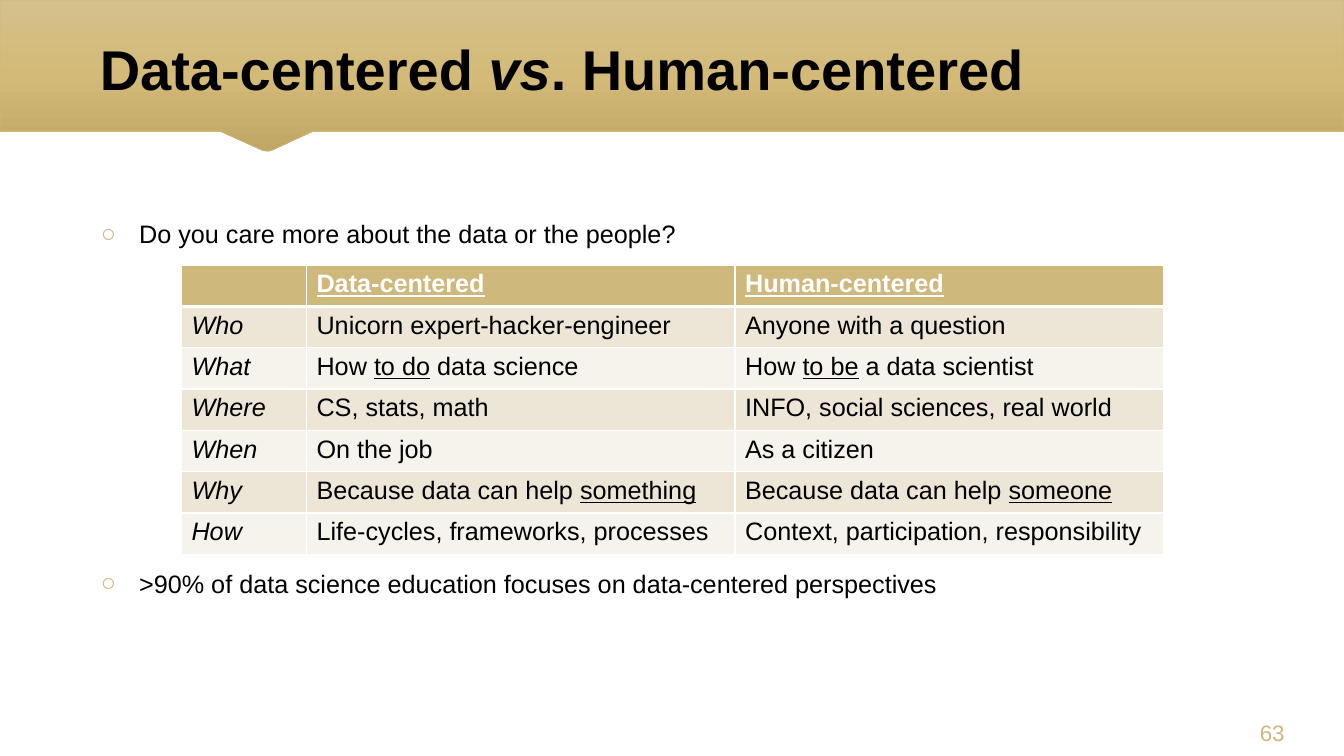
from copy import deepcopy

from lxml.etree import SubElement
from pptx import Presentation
from pptx.dml.color import RGBColor
from pptx.enum.text import MSO_ANCHOR, MSO_AUTO_SIZE, PP_ALIGN
from pptx.oxml.ns import qn
from pptx.util import Inches, Pt

COLORS = {
    "gold": "CFB87C", "gold_top": "D5C08C", "gold_mid": "D3BA78",
    "gold_low": "C1A766", "band_dark": "EDE6D7", "band_light": "F6F3EC",
    "black": "000000", "white": "FFFFFF",
}

BANNER = [(13.33, 0), (0, 0), (0, 1.3), (2.18, 1.3), (2.6, 1.49), (2.64, 1.5),
          (2.67, 1.5), (2.7, 1.49), (3.11, 1.3), (13.33, 1.3)]

# Text between bars is emphasised
ROWS = [
    ("", "Data-centered", "Human-centered"),
    ("Who", "Unicorn expert-hacker-engineer", "Anyone with a question"),
    ("What", "How |to do| data science", "How |to be| a data scientist"),
    ("Where", "CS, stats, math", "INFO, social sciences, real world"),
    ("When", "On the job", "As a citizen"),
    ("Why", "Because data can help |something|", "Because data can help |someone|"),
    ("How", "Life-cycles, frameworks, processes", "Context, participation, responsibility"),
]


def rgb(name):
    return RGBColor.from_string(COLORS[name])


def write(p, text, size=18, color="black", emphasis="underline", **fmt):
    """Add text to a paragraph; parts between bars get the emphasis."""
    for i, part in enumerate(text.split("|")):
        if not part:
            continue
        r = p.add_run()
        r.text = part
        r.font.name, r.font.size = "Arial", Pt(size)
        r.font.color.rgb = rgb(color)
        styles = {"bold": False, "italic": False, "underline": False, **fmt}
        if i % 2:
            styles[emphasis] = True
        for key, value in styles.items():
            setattr(r.font, key, value)


class SlideBuilder:
    def __init__(self, prs):
        self.s = prs.slides.add_slide(prs.slide_layouts[1])

    def place(self, sp, box, anchor):
        sp.left, sp.top, sp.width, sp.height = map(Inches, box)
        tf = sp.text_frame
        tf.word_wrap = True
        tf.auto_size = MSO_AUTO_SIZE.NONE
        tf.vertical_anchor = anchor
        return tf

    def banner(self, points):
        corners = [(Inches(x), Inches(y)) for x, y in points]
        fb = self.s.shapes.build_freeform(*corners[0])
        fb.add_line_segments(corners[1:], close=True)
        sp = fb.convert_to_shape()
        sp.shadow.inherit = False
        sp.fill.gradient()
        sp.fill.gradient_angle = 270
        gs = sp._element.spPr.find(".//" + qn("a:gs"))
        gs.addnext(deepcopy(gs))
        names = ("gold_top", "gold_mid", "gold_low")
        for i, (stop, name) in enumerate(zip(sp.fill.gradient_stops, names)):
            stop.color.rgb = rgb(name)
            stop.position = i / 2
        sp.line.color.rgb = rgb("gold")
        sp.line.width = Pt(0.5)
        self.s.shapes._spTree.insert(2, sp._element)  # behind the title

    def title(self, text, box):
        tf = self.place(self.s.shapes.title, box, MSO_ANCHOR.BOTTOM)
        p = tf.paragraphs[0]
        p.alignment = PP_ALIGN.LEFT
        write(p, text, size=40, bold=True, emphasis="italic")

    def bullets(self, items, box, gap):
        tf = self.place(self.s.placeholders[1], box, MSO_ANCHOR.MIDDLE)
        for i, text in enumerate(items):
            p = tf.add_paragraph() if i else tf.paragraphs[0]
            pPr = p._p.get_or_add_pPr()
            pPr.set("marL", str(Inches(0.38)))
            pPr.set("indent", str(-Inches(0.38)))
            clr = SubElement(pPr, qn("a:buClr"))
            SubElement(clr, qn("a:srgbClr"), val=COLORS["gold"])
            SubElement(pPr, qn("a:buFont"), typeface="Arial")
            SubElement(pPr, qn("a:buChar"), char="○")
            p.space_before = Pt(gap if i else 0)
            p.space_after = Pt(6)
            write(p, text)

    def number(self, text, box):
        sp = self.s.shapes.add_textbox(0, 0, 0, 0)
        tf = self.place(sp, box, MSO_ANCHOR.BOTTOM)
        tf.margin_bottom = Inches(0.01)
        p = tf.paragraphs[0]
        p.alignment = PP_ALIGN.RIGHT
        write(p, text, size=16, color="gold")

    def borders(self, cell, row):
        tcPr = cell._tc.get_or_add_tcPr()
        widths = {"lnL": 1, "lnR": 1, "lnT": 3 if row == 1 else 1,
                  "lnB": 3 if row == 0 else 1}
        for tag, width in widths.items():
            ln = SubElement(tcPr, qn("a:" + tag), w=str(Pt(width)))
            fill = SubElement(ln, qn("a:solidFill"))
            SubElement(fill, qn("a:srgbClr"), val=COLORS["white"])

    def table(self, rows, left, top, col_widths, row_height):
        frame = self.s.shapes.add_table(
            len(rows), len(col_widths), Inches(left), Inches(top),
            Inches(sum(col_widths)), Inches(row_height * len(rows)))
        tbl = frame.table
        for col, width in zip(tbl.columns, col_widths):
            col.width = Inches(width)
        for i, texts in enumerate(rows):
            tbl.rows[i].height = Inches(row_height)
            band = "gold" if i == 0 else "band_dark" if i % 2 else "band_light"
            for j, text in enumerate(texts):
                cell = tbl.cell(i, j)
                self.borders(cell, i)
                cell.fill.solid()
                cell.fill.fore_color.rgb = rgb(band)
                p = cell.text_frame.paragraphs[0]
                if i == 0:
                    write(p, text, color="white", bold=True, underline=True)
                else:
                    write(p, text, italic=j == 0)


def main():
    prs = Presentation()
    prs.slide_width, prs.slide_height = Inches(13.33), Inches(7.5)
    slide = SlideBuilder(prs)

    # Header
    slide.banner(BANNER)
    slide.title("Data-centered |vs|. Human-centered", (0.89, 0, 11.56, 1.06))

    # Statements above and below the table
    slide.bullets(["Do you care more about the data or the people?",
                   ">90% of data science education focuses on data-centered perspectives"],
                  (0.9, 1.55, 11.54, 5), gap=222)

    # Slide number
    slide.number("63", (11.68, 7.01, 1.16, 0.4))

    # Comparison table
    slide.table(ROWS, 1.8, 2.63, (1.24, 4.25, 4.25), 0.41)

    prs.save("out.pptx")


if __name__ == "__main__":
    main()
